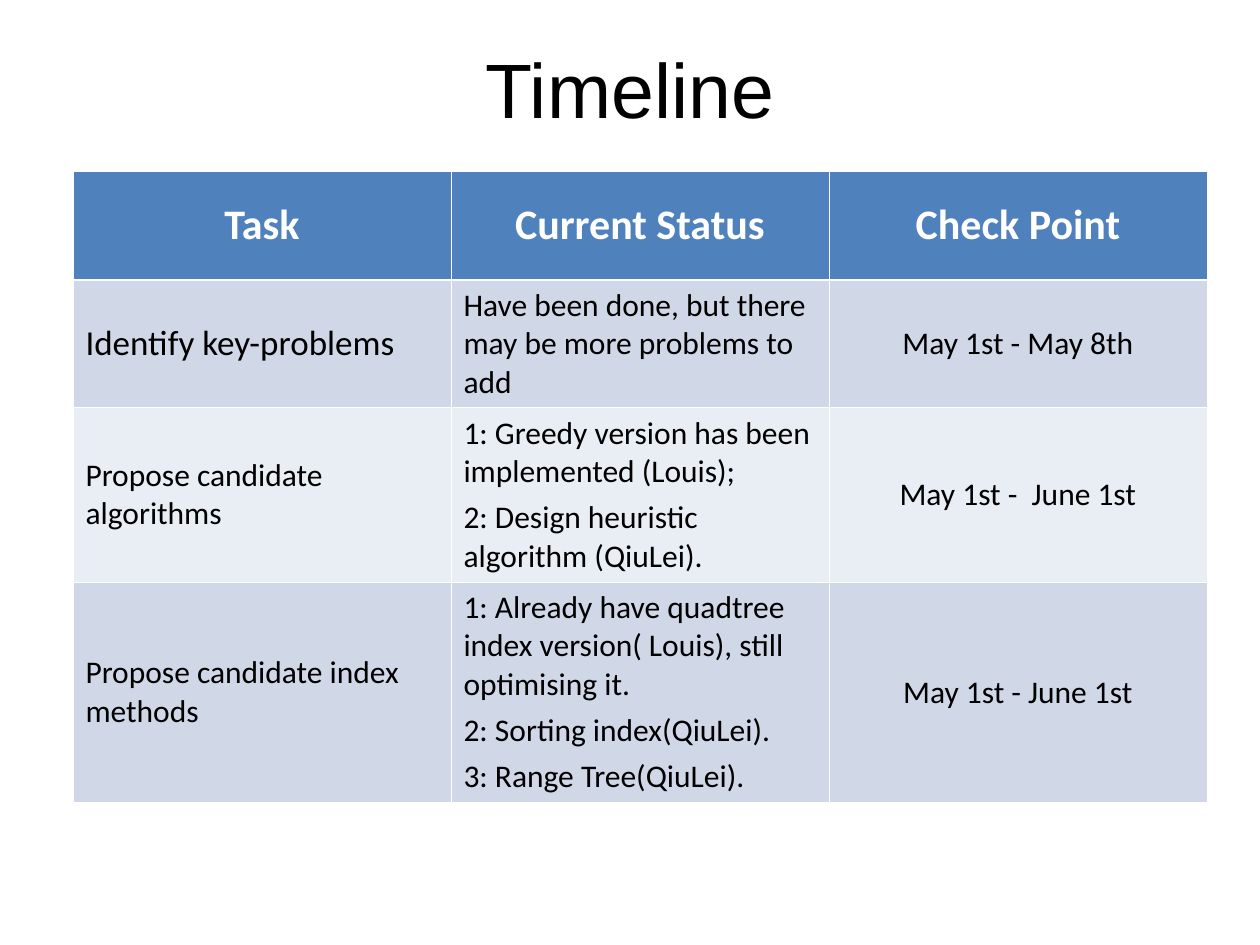
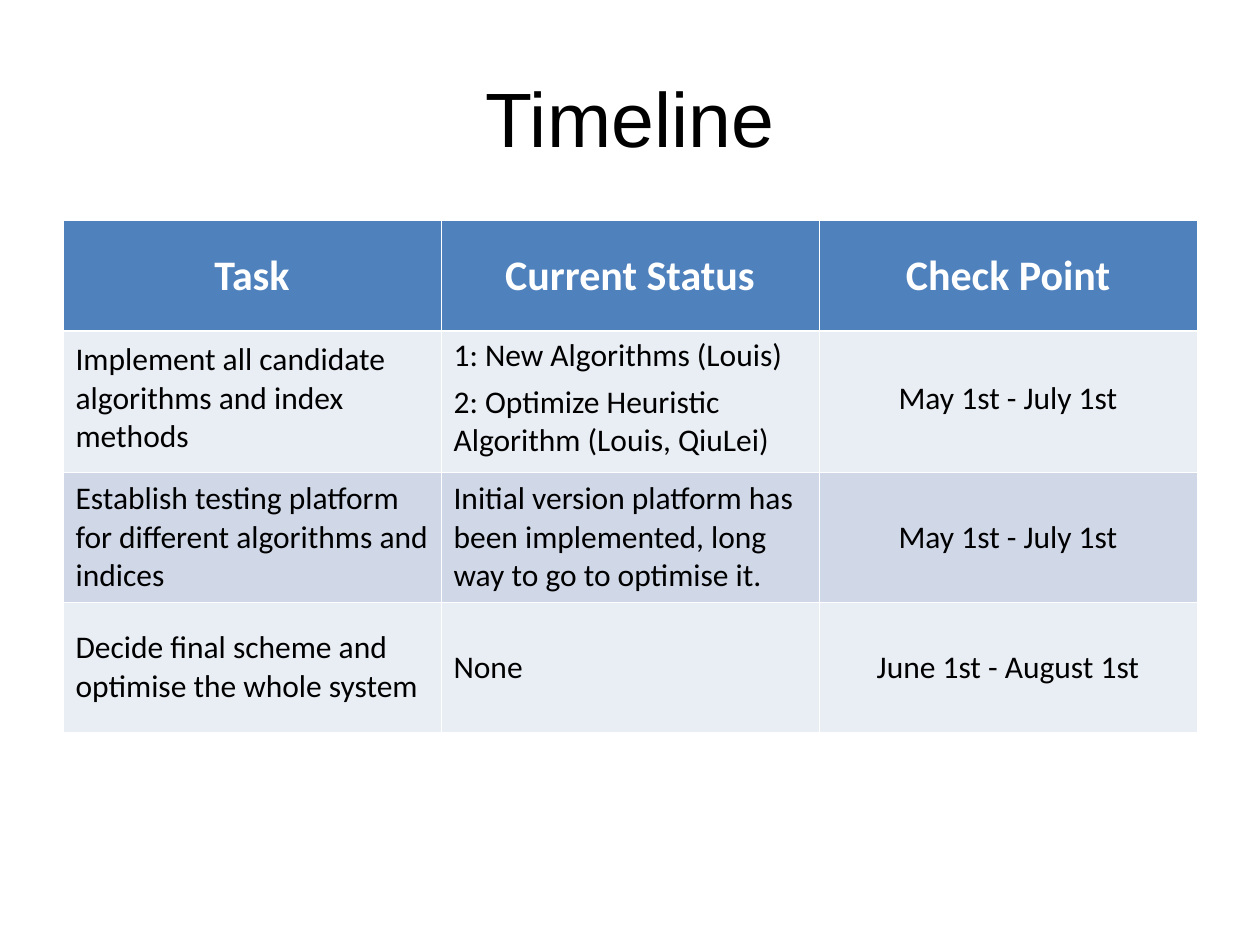
from itertools import cycle

from lxml.etree import SubElement
from pptx import Presentation
from pptx.dml.color import RGBColor
from pptx.enum.text import MSO_ANCHOR, PP_ALIGN
from pptx.oxml.ns import qn
from pptx.util import Cm, Pt

# Shared style
WHITE, BLACK = "FFFFFF", "000000"
HEADER_BLUE, DARK_BAND, LIGHT_BAND = "4F81BD", "D0D8E8", "E9EDF4"
TITLE_FONT, TABLE_FONT = "Arial", "Calibri"
HEADINGS = ["Task", "Current Status", "Check Point"]
COLUMN_WIDTH = 7.62
THIN_LINE, THICK_LINE = 0.45, 1.47

# Each row: task, status paragraphs, check point
FIRST_TASKS = [
    ("Identify key-problems",
     ["Have been done, but there may be more problems to add"],
     "May 1st - May 8th"),
    ("Propose candidate algorithms",
     ["1: Greedy version has been implemented (Louis);",
      "2: Design heuristic algorithm (QiuLei)."],
     "May 1st -  June 1st"),
    ("Propose candidate index methods",
     ["1: Already have quadtree index version( Louis), still optimising it.",
      "2: Sorting index(QiuLei).",
      "3: Range Tree(QiuLei)."],
     "May 1st - June 1st"),
]
LATER_TASKS = [
    ("Implement all candidate algorithms and index methods",
     ["1: New Algorithms (Louis)",
      "2: Optimize Heuristic Algorithm (Louis, QiuLei)"],
     "May 1st - July 1st"),
    ("Establish testing platform for different algorithms and indices",
     ["Initial version platform has been implemented, long way to go to optimise it."],
     "May 1st - July 1st"),
    ("Decide final scheme and optimise the whole system",
     ["None"],
     "June 1st - August 1st"),
]


def colour(hex_code):
    return RGBColor.from_string(hex_code)


def add_span(para, text, font, size, hex_code, bold=False):
    span = para.add_run()
    span.text = text
    span.font.name = font
    span.font.size = Pt(size)
    span.font.bold = bold
    span.font.color.rgb = colour(hex_code)


def add_page(deck, title, title_top):
    """Add a blank page with a centred title."""
    page = deck.slides.add_slide(deck.slide_layouts[6])
    box = page.shapes.add_textbox(Cm(1.27), Cm(title_top), Cm(22.86), Cm(3.18))
    frame = box.text_frame
    frame.word_wrap = True
    frame.vertical_anchor = MSO_ANCHOR.MIDDLE
    para = frame.paragraphs[0]
    para.alignment = PP_ALIGN.CENTER
    add_span(para, title, TITLE_FONT, 44, BLACK)
    return page


def add_grid(page, left, top, row_heights):
    """Add an unstyled table with the three timeline columns."""
    columns = len(HEADINGS)
    table = page.shapes.add_table(
        len(row_heights), columns, Cm(left), Cm(top),
        Cm(columns * COLUMN_WIDTH), Cm(sum(row_heights))).table
    table.first_row = table.horz_banding = False
    for row, height in zip(table.rows, row_heights):
        row.height = Cm(height)
    return table


def set_borders(cell, top, bottom):
    properties = cell._tc.get_or_add_tcPr()
    widths = {"a:lnL": THIN_LINE, "a:lnR": THIN_LINE, "a:lnT": top, "a:lnB": bottom}
    for side, width in widths.items():
        line = SubElement(properties, qn(side), w=str(Pt(width)))
        SubElement(SubElement(line, qn("a:solidFill")), qn("a:srgbClr"), val=WHITE)


def fill_cell(cell, texts, fill, size=18, hex_code=BLACK, bold=False,
              centred=False, top=THIN_LINE, bottom=THIN_LINE):
    set_borders(cell, top, bottom)
    cell.fill.solid()
    cell.fill.fore_color.rgb = colour(fill)
    cell.vertical_anchor = MSO_ANCHOR.MIDDLE
    frame = cell.text_frame
    for index, text in enumerate(texts):
        para = frame.add_paragraph() if index else frame.paragraphs[0]
        para.alignment = PP_ALIGN.CENTER if centred else PP_ALIGN.LEFT
        para.space_before = Pt(size / 4)
        add_span(para, text, TABLE_FONT, size, hex_code, bold)


def fill_header(table):
    for cell, heading in zip(table.rows[0].cells, HEADINGS):
        fill_cell(cell, [heading], HEADER_BLUE, 24, WHITE, bold=True,
                  centred=True, bottom=THICK_LINE)


def fill_tasks(table, tasks, bands, first_row=0, first_task_size=18):
    """Write the task rows, alternating the two band colours."""
    for index, ((task, status, check_point), band) in enumerate(zip(tasks, cycle(bands))):
        cells = table.rows[first_row + index].cells
        top = THICK_LINE if first_row and index == 0 else THIN_LINE
        task_size = first_task_size if index == 0 else 18
        fill_cell(cells[0], [task], band, task_size, top=top)
        fill_cell(cells[1], status, band, top=top)
        fill_cell(cells[2], [check_point], band, centred=True, top=top)


def main():
    deck = Presentation()
    deck.slide_width, deck.slide_height = Cm(25.4), Cm(19.05)

    # Slide 1: header and tasks in one table
    page = add_page(deck, "Timeline", 0.18)
    table = add_grid(page, 1.47, 3.46, [2.18, 2.58, 3.51, 4.45])
    fill_header(table)
    fill_tasks(table, FIRST_TASKS, [DARK_BAND, LIGHT_BAND],
               first_row=1, first_task_size=20)

    # Slide 2: header table laid over the top of the task table
    page = add_page(deck, "Timeline", 0.76)
    fill_tasks(add_grid(page, 1.27, 6.54, [2.98, 2.62, 2.62]),
               LATER_TASKS, [LIGHT_BAND, DARK_BAND])
    fill_header(add_grid(page, 1.27, 4.45, [2.22]))

    deck.save("out.pptx")


if __name__ == "__main__":
    main()
